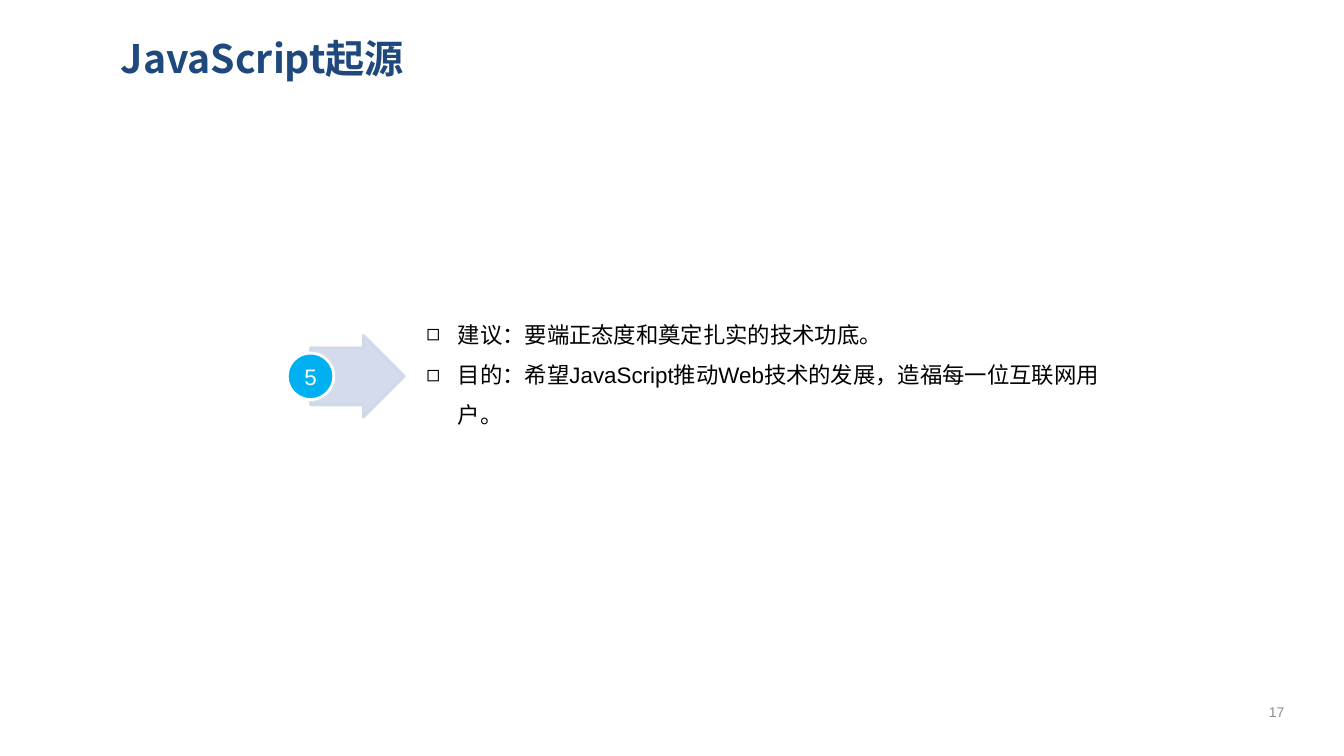
from lxml.etree import SubElement
from pptx import Presentation
from pptx.dml.color import RGBColor
from pptx.enum.shapes import MSO_SHAPE as Shape
from pptx.enum.text import MSO_ANCHOR as Anchor, MSO_AUTO_SIZE as AutoSize, PP_ALIGN as Align
from pptx.oxml.ns import qn
from pptx.util import Pt

NAVY = RGBColor(0x1F, 0x49, 0x7D)
GRAY = RGBColor(0x8C, 0x8C, 0x8C)
PALE_BLUE = RGBColor(0xD0, 0xD8, 0xE8)
CYAN = RGBColor(0x00, 0xB0, 0xF0)
WHITE = RGBColor(0xFF, 0xFF, 0xFF)
BLACK = RGBColor(0x00, 0x00, 0x00)
CHINESE_FONT = "Noto Sans CJK SC"
ADVICE = [
    "建议：要端正态度和奠定扎实的技术功底。",
    "目的：希望JavaScript推动Web技术的发展，造福每一位互联网用户。",
]


def style_text(para, size, color, font="Arial", bold=False):
    for span in para.runs:
        span.font.size = Pt(size)
        span.font.name = font
        span.font.bold = bold
        span.font.color.rgb = color
        SubElement(span.font._element, qn("a:ea"), typeface=CHINESE_FONT)


def add_text(left, top, width, height, text, anchor):
    box = page.shapes.add_textbox(Pt(left), Pt(top), Pt(width), Pt(height))
    frame = box.text_frame
    frame.word_wrap = True
    frame.vertical_anchor = anchor
    frame.text = text
    return frame


deck = Presentation()
deck.slide_width, deck.slide_height = Pt(960), Pt(540)
page = deck.slides.add_slide(deck.slide_layouts[6])

title = add_text(79.2, 17.3, 838.8, 48.2, "JavaScript起源", Anchor.MIDDLE)
style_text(title.paragraphs[0], 28, NAVY, CHINESE_FONT, True)

number = add_text(888.5, 493.9, 46.8, 28.8, "17", Anchor.MIDDLE)
number.paragraphs[0].alignment = Align.CENTER
style_text(number.paragraphs[0], 10, GRAY)

arrow = page.shapes.add_shape(Shape.RIGHT_ARROW, Pt(221.8), Pt(239.6), Pt(67), Pt(58.4))
arrow.adjustments[0] = 0.7
arrow.adjustments[1] = 0.5
badge = page.shapes.add_shape(Shape.OVAL, Pt(205.2), Pt(252.2), Pt(33.2), Pt(33.2))
for shape, fill, line in [(arrow, PALE_BLUE, PALE_BLUE), (badge, CYAN, WHITE)]:
    shape.shadow.inherit = False
    shape.fill.solid()
    shape.fill.fore_color.rgb = fill
    shape.line.color.rgb = line
    shape.line.width = Pt(2)
for color in arrow._element.spPr.iter(qn("a:srgbClr")):
    SubElement(color, qn("a:alpha"), val="90000")

label = badge.text_frame
label.margin_left = label.margin_right = label.margin_top = label.margin_bottom = 0
label.word_wrap = False
label.vertical_anchor = Anchor.MIDDLE
label.text = "5"
label.paragraphs[0].alignment = Align.CENTER
style_text(label.paragraphs[0], 16, WHITE)

advice = add_text(297.4, 216, 509, 101.5, "\n".join(ADVICE), Anchor.TOP)
advice.auto_size = AutoSize.SHAPE_TO_FIT_TEXT
for para in advice.paragraphs:
    properties = para._p.get_or_add_pPr()
    properties.set("marL", str(Pt(22.5)))
    properties.set("indent", str(Pt(-22.5)))
    SubElement(properties, qn("a:buFont"), typeface="Arial")
    SubElement(properties, qn("a:buChar"), char="◻")
    para.line_spacing = 1.5
    style_text(para, 16, BLACK)

deck.save("out.pptx")
